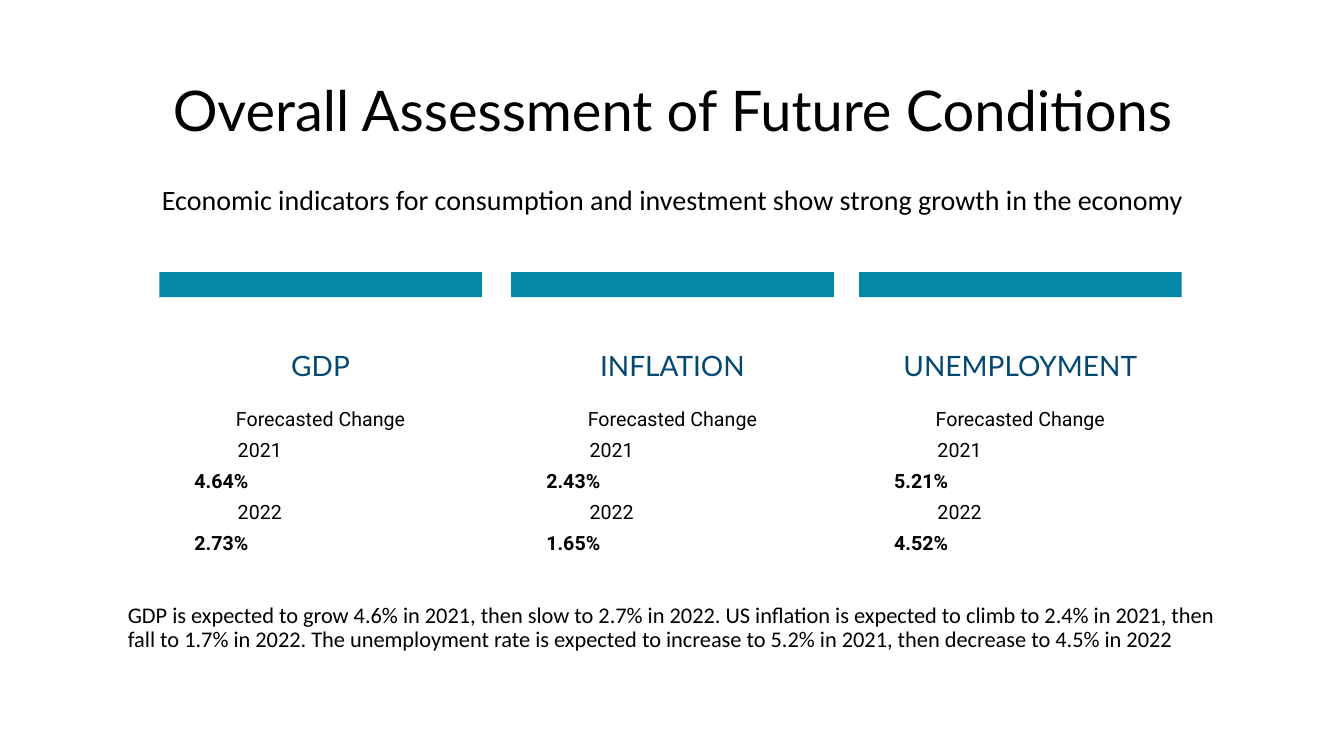
"""Builds a slide on forecasts for GDP, inflation and unemployment."""
from lxml import etree
from pptx import Presentation
from pptx import util as u
from pptx.dml.color import RGBColor
from pptx.enum import shapes, text
from pptx.oxml.ns import qn

HUES = {"teal": "0388A6", "navy": "024873", "black": "000000", "white": "FFFFFF"}
MID = text.PP_ALIGN.CENTER
LEFT = text.PP_ALIGN.LEFT


def add_box(left, top, width, height, fill=None):
    """Add a rectangle with no line, filled if a colour is named."""
    box = slide.shapes.add_shape(
        shapes.MSO_SHAPE.RECTANGLE,
        u.Inches(left), u.Inches(top), u.Inches(width), u.Inches(height))
    box.shadow.inherit = False
    box.line.fill.background()
    if fill:
        box.fill.solid()
        box.fill.fore_color.rgb = RGBColor.from_string(HUES[fill])
    else:
        box.fill.background()
    box.text_frame.word_wrap = True
    box.text_frame.vertical_anchor = text.MSO_ANCHOR.TOP
    return box


def write(box, words, size, font, hue="black", bold=False, align=MID,
          pitch=0.9, before=0, indent=0):
    """Write one paragraph, after any that the box already holds."""
    frame = box.text_frame
    para = frame.add_paragraph() if frame.text else frame.paragraphs[0]
    para.alignment = align
    para.line_spacing = pitch
    para.space_before = u.Pt(before)
    if indent:
        para._p.get_or_add_pPr().set("marL", str(u.Inches(indent)))
    run = para.add_run()
    run.text = words
    run.font.size = u.Pt(size)
    run.font.name = font
    run.font.bold = bold
    run.font.color.rgb = RGBColor.from_string(HUES[hue])


deck = Presentation()
deck.slide_width = u.Inches(13.33)
deck.slide_height = u.Inches(7.5)
slide = deck.slides.add_slide(deck.slide_layouts[6])

title = add_box(0.92, 0.4, 11.5, 1.45)
title.text_frame.vertical_anchor = text.MSO_ANCHOR.MIDDLE
write(title, "Overall Assessment of Future Conditions", 40, "Lato")

lead = add_box(1.17, 1.8, 11, 0.6)
write(lead, "Economic indicators for consumption and investment show strong "
      "growth in the economy", 20, "Calibri", before=10)

cards = [
    (1.58, "GDP", {"2021": "4.64%", "2022": "2.73%"}),
    (5.07, "INFLATION", {"2021": "2.43%", "2022": "1.65%"}),
    (8.52, "UNEMPLOYMENT", {"2021": "5.21%", "2022": "4.52%"}),
]
for left, name, rates in cards:
    add_box(left, 2.7, 3.2, 0.25, "teal")

    card = add_box(left, 2.95, 3.2, 2.74, "white")
    tint = card.fill._xPr.find(qn("a:solidFill"))[0]
    etree.SubElement(tint, qn("a:alpha")).set("val", "90000")
    card.text_frame.margin_top = u.Inches(0.55)
    write(card, name, 20, "Lato", "navy", before=10)

    facts = add_box(left + 0.25, 3.92, 2.7, 1.5)
    write(facts, "Forecasted Change", 14, "Roboto", pitch=u.Pt(22))
    for year, rate in rates.items():
        write(facts, year, 14, "Roboto", align=LEFT, pitch=u.Pt(22), indent=0.43)
        write(facts, rate, 14, "Roboto", bold=True, align=LEFT, pitch=u.Pt(22))

note = add_box(1.17, 5.94, 11, 0.6)
write(note, "GDP is expected to grow 4.6% in 2021, then slow to 2.7% in 2022. "
      "US inflation is expected to climb to 2.4% in 2021, then fall to 1.7% in "
      "2022. The unemployment rate is expected to increase to 5.2% in 2021, "
      "then decrease to 4.5% in 2022", 16, "Calibri", align=LEFT, before=10)

deck.save("out.pptx")
